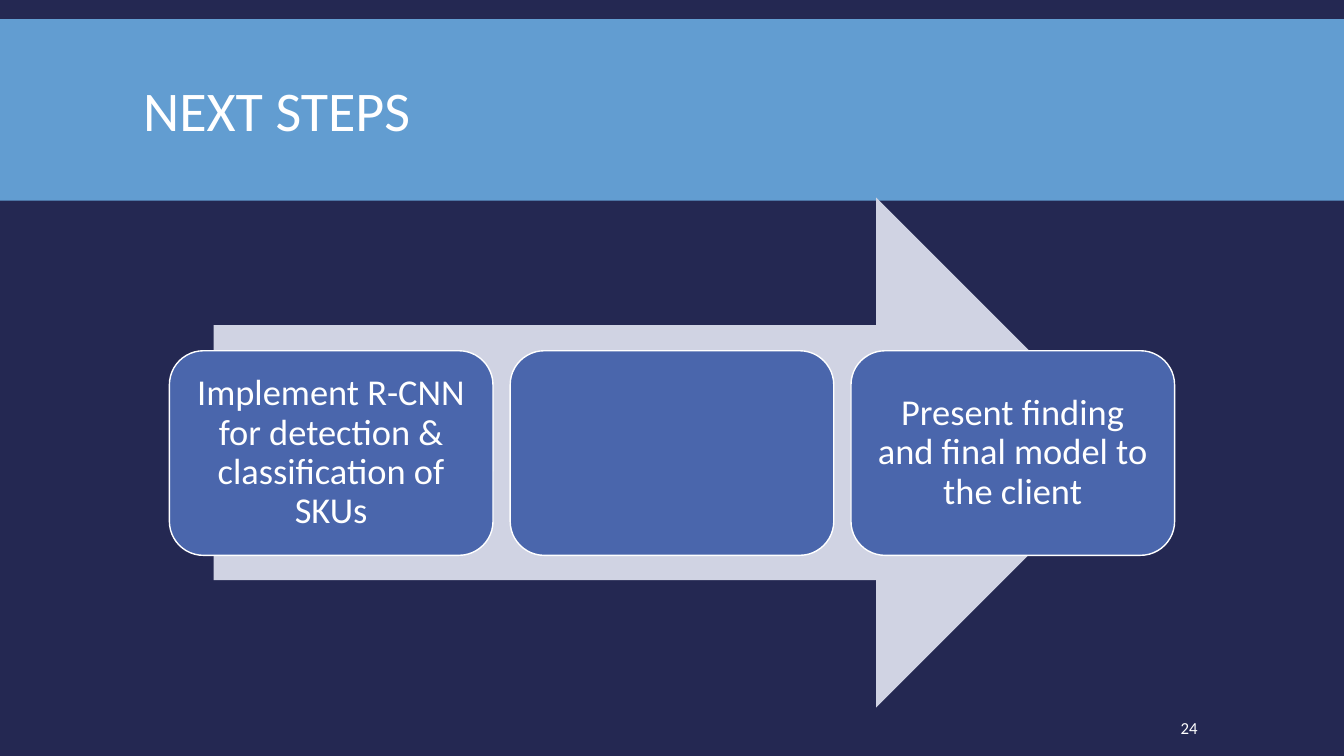
"""Build the Next Steps slide: a title band, a wide arrow and three step boxes."""
from pptx import Presentation
from pptx.dml.color import RGBColor
from pptx.enum import shapes, text
from pptx.util import Inches, Pt

KIND = shapes.MSO_SHAPE
MID = text.MSO_ANCHOR.MIDDLE
LEFT, MIDDLE = text.PP_ALIGN.LEFT, text.PP_ALIGN.CENTER


def draw(kind, box, fill, line=None):
    shape = slide.shapes.add_shape(kind, *map(Inches, box))
    shape.shadow.inherit = False
    shape.fill.solid()
    shape.fill.fore_color.rgb = RGBColor.from_string(fill)
    if line:
        shape.line.color.rgb = RGBColor.from_string(line)
        shape.line.width = Pt(1)
    else:
        shape.line.fill.background()
    return shape


def write(shape, words, size, align, space, pads):
    frame = shape.text_frame
    frame.text = words
    sides = dict(zip(("margin_left", "margin_top", "margin_right", "margin_bottom"), map(Inches, pads)))
    form = {"word_wrap": True, "auto_size": text.MSO_AUTO_SIZE.NONE, "vertical_anchor": MID, **sides}
    para = frame.paragraphs[0]
    font = para.runs[0].font if para.runs else para.font
    font.color.rgb = RGBColor.from_string("FFFFFF")
    for item, style in ((frame, form), (para, {"alignment": align, "line_spacing": space}),
                        (font, {"size": Pt(size), "name": "Calibri"})):
        for key, value in style.items():
            setattr(item, key, value)


deck = Presentation()
deck.slide_width, deck.slide_height = Inches(13.33), Inches(7.5)
slide = deck.slides.add_slide(deck.slide_layouts[5])
slide.background.fill.solid()
slide.background.fill.fore_color.rgb = RGBColor.from_string("242852")

band = draw(KIND.RECTANGLE, (0, 0.19, 13.33, 1.8), "629DD1")
title = slide.shapes.title
title.left, title.top, title.width, title.height = map(Inches, (1.32, 0.31, 10.7, 1.65))
write(title, "NEXT STEPS", 40, LEFT, 0.85, (0.1, 0.05, 0.1, 0.05))
title.element.addprevious(band.element)

draw(KIND.RIGHT_ARROW, (2.12, 1.96, 9.1, 5.06), "D0D3E3")
steps = ["Implement R-CNN for detection & classification of SKUs", "",
         "Present finding and final model to the client"]
for i, step in enumerate(steps):
    card = draw(KIND.ROUNDED_RECTANGLE, (1.68 + 3.38 * i, 3.48, 3.21, 2.03), "4A66AC", "FFFFFF")
    if step:
        write(card, step, 26, MIDDLE, 0.9, [0.11] * 4)

page = slide.shapes.add_textbox(*map(Inches, (11.66, 7.02, 1.03, 0.4)))
write(page, "24", 12, LEFT, 1.0, (0.05, 0.05, 0.1, 0.05))

deck.save("out.pptx")
